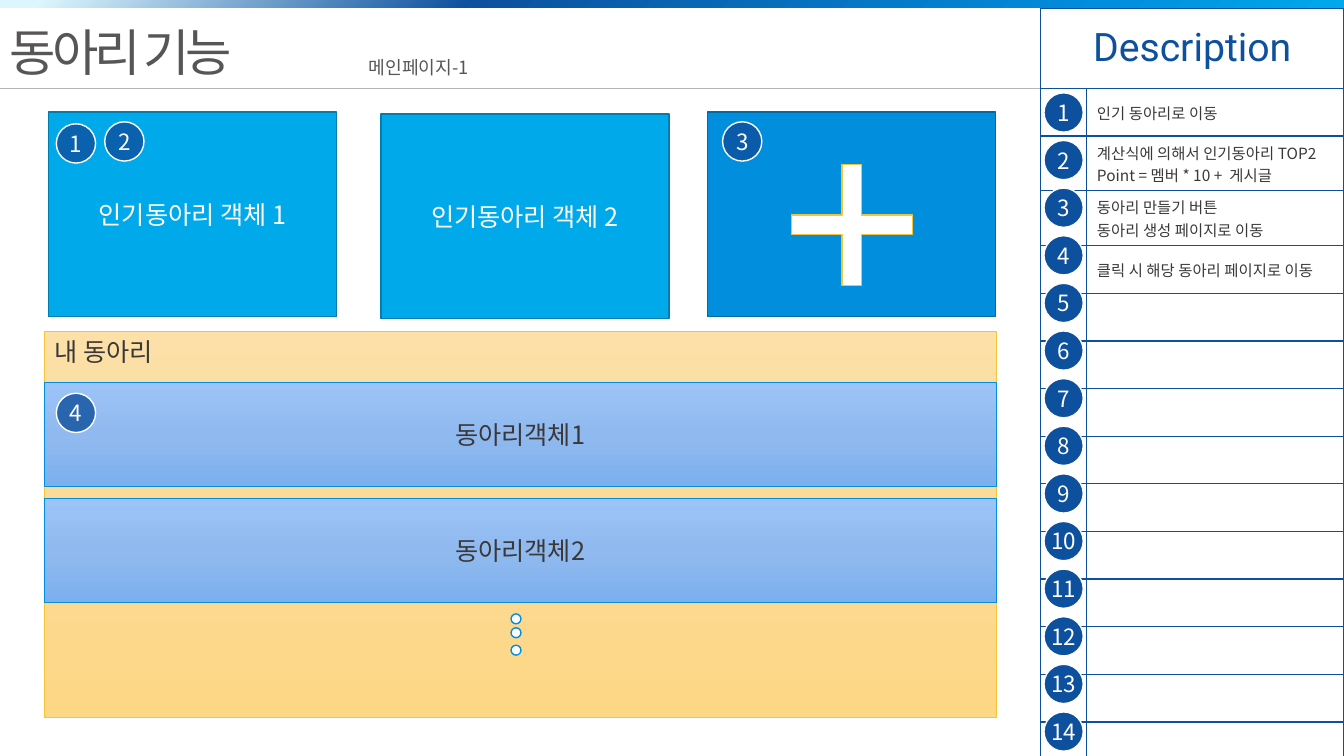
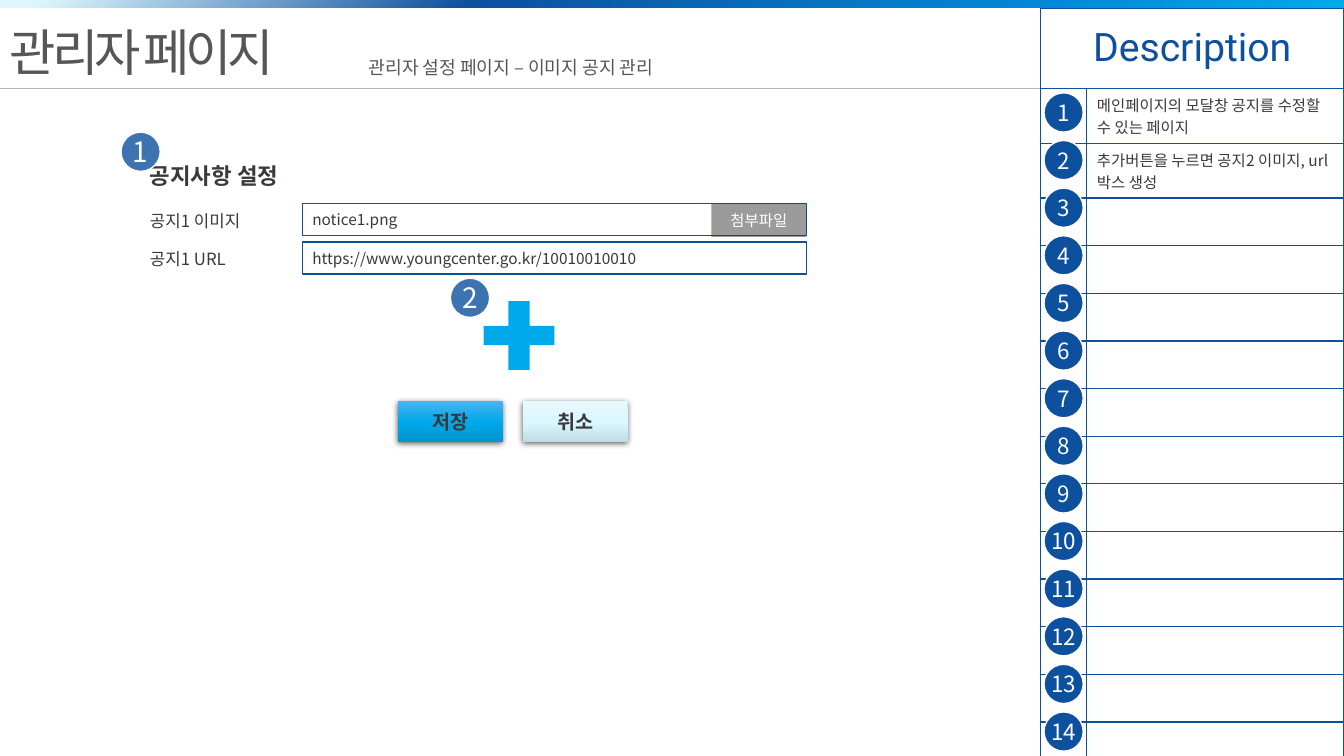
from dataclasses import dataclass

from pptx import Presentation
from pptx.dml.color import RGBColor
from pptx.enum.shapes import MSO_CONNECTOR, MSO_SHAPE
from pptx.enum.text import MSO_ANCHOR, MSO_AUTO_SIZE, PP_ALIGN
from pptx.oxml.ns import qn
from pptx.util import Cm, Pt
from lxml import etree

RECT, OVAL, PLUS = MSO_SHAPE.RECTANGLE, MSO_SHAPE.OVAL, MSO_SHAPE.CROSS
LEFT, CENTER = PP_ALIGN.LEFT, PP_ALIGN.CENTER
TOP, MIDDLE = MSO_ANCHOR.TOP, MSO_ANCHOR.MIDDLE
STRAIGHT = MSO_CONNECTOR.STRAIGHT


@dataclass(frozen=True)
class Theme:
    # Fonts
    body: str = "Noto Sans CJK KR"
    display: str = "Roboto"
    # Colours
    navy: str = "0D509E"
    blue: str = "018EDD"
    blue_edge: str = "0169A3"
    sky: str = "00A9EA"
    sky_edge: str = "007DAD"
    amber: str = "F5C437"
    ink: str = "3A3838"
    heading: str = "585555"
    rule: str = "B5B5B5"
    white: str = "FFFFFF"
    black: str = "000000"
    # Gradients: (position in percent, colour)
    band: tuple = ((3, "DDF6FD"), (35, "0D509E"), (82, "018EDD"), (100, "00A9EA"))
    panel: tuple = ((0, "FCE0A7"), (50, "FADA98"), (100, "FED784"))
    row: tuple = ((0, "9DC4F8"), (50, "90BAEF"), (100, "7CB0ED"))
    save: tuple = ((0, "4BB3F0"), (50, "00A9EA"), (100, "0096D0"))
    cancel: tuple = ((0, "E7F9FE"), (50, "DBF7FF"), (100, "C0DDE5"))
    # Type sizes
    title: int = 36
    side_title: int = 28
    large_badge: int = 20
    object_name: int = 18
    section: int = 16
    badge: int = 16
    button: int = 14
    subtitle: int = 13
    label: int = 12
    note: int = 11


T = Theme()

# Shared layout, in centimetres
SLIDE_W, SLIDE_H = 33.87, 19.05
BAND_H, HEAD_H = 0.2, 2.03
SIDE_X, NUMBER_W, NOTE_W = 26.22, 1.17, 6.48
NOTE_ROWS, NOTE_H = 14, 1.2
BADGE = 0.99


def rgb(color):
    return RGBColor.from_string(color)


def sub(parent, tag, **attrs):
    return etree.SubElement(parent, qn(tag), {k: str(v) for k, v in attrs.items()})


def write(tf, text, *, size, color=T.ink, font=T.body, bold=False, align=LEFT,
          anchor=TOP, spacing=None):
    """Fill a text frame, one paragraph per line of text."""
    tf.vertical_anchor = anchor
    for i, line in enumerate(text.split("\n")):
        p = tf.add_paragraph() if i else tf.paragraphs[0]
        p.alignment = align
        r = p.add_run()
        r.text = line
        r.font.size, r.font.bold = Pt(size), bold
        r.font.color.rgb = rgb(color)
        r.font.name = font
        rpr = r.font._element
        sub(rpr, "a:ea", typeface=font)
        if spacing:
            rpr.set("spc", str(spacing * 100))


def set_gradient(sp, stops, angle):
    sp.fill.gradient()
    grad = sp._element.spPr.find(qn("a:gradFill"))
    grad.clear()
    gs_list = sub(grad, "a:gsLst")
    for pos, color in stops:
        sub(sub(gs_list, "a:gs", pos=pos * 1000), "a:srgbClr", val=color)
    sub(grad, "a:lin", ang=angle * 60000, scaled=0)


def add_box(s, kind, x, y, w, h, fill, *, line=None, weight=1, alpha=None,
            angle=90, shadow=False, inset=None, text=None, **fmt):
    """Preset shape; fill is a colour or a tuple of gradient stops."""
    sp = s.shapes.add_shape(kind, Cm(x), Cm(y), Cm(w), Cm(h))
    if isinstance(fill, str):
        sp.fill.solid()
        sp.fill.fore_color.rgb = rgb(fill)
        if alpha:
            color = sp._element.spPr.find(qn("a:solidFill"))[0]
            sub(color, "a:alpha", val=alpha * 1000)
    else:
        set_gradient(sp, fill, angle)
    if line:
        sp.line.color.rgb = rgb(line)
        sp.line.width = Pt(weight)
    else:
        sp.line.fill.background()
    sp.shadow.inherit = False
    if shadow:
        effects = sp._element.spPr.find(qn("a:effectLst"))
        outer = sub(effects, "a:outerShdw", blurRad=Pt(4.5), dist=Pt(1.5),
                    dir=90 * 60000, algn="ctr", rotWithShape=0)
        sub(sub(outer, "a:srgbClr", val=T.black), "a:alpha", val=63000)
    if text:
        tf = sp.text_frame
        tf.word_wrap = True
        if inset is not None:
            tf.margin_left = tf.margin_right = Cm(inset)
            tf.margin_top = tf.margin_bottom = Cm(inset)
        write(tf, text, **{"align": CENTER, "anchor": MIDDLE, **fmt})
    return sp


def add_text(s, x, y, w, h, text, *, wrap=True, **fmt):
    tf = s.shapes.add_textbox(Cm(x), Cm(y), Cm(w), Cm(h)).text_frame
    tf.word_wrap = wrap
    tf.auto_size = MSO_AUTO_SIZE.SHAPE_TO_FIT_TEXT
    write(tf, text, **fmt)


def add_badge(s, number, x, y, *, size=T.badge, alpha=80):
    add_box(s, OVAL, x, y, BADGE, BADGE, T.navy, line=T.white, alpha=alpha,
            inset=0, text=str(number), size=size, color=T.white)


def add_plus(s, x, y, w, h, fill, arm, **fmt):
    add_box(s, PLUS, x, y, w, h, fill, **fmt).adjustments[0] = arm


def style_cell(cell):
    """Clear the fill and draw all four borders."""
    cell.fill.background()
    tc_pr = cell._tc.get_or_add_tcPr()
    for i, side in enumerate(("a:lnL", "a:lnR", "a:lnT", "a:lnB")):
        ln = sub(tc_pr, side, w=Pt(1))
        sub(sub(ln, "a:solidFill"), "a:srgbClr", val=T.navy)
        tc_pr.insert(i, ln)


def add_description(s, notes):
    """Side table with a numbered badge on each row."""
    frame = s.shapes.add_table(NOTE_ROWS + 1, 2, Cm(SIDE_X), Cm(BAND_H),
                               Cm(NUMBER_W + NOTE_W),
                               Cm(HEAD_H + NOTE_ROWS * NOTE_H))
    table = frame.table
    table.first_row = table.horz_banding = False
    for col, width in zip(table.columns, (NUMBER_W, NOTE_W)):
        col.width = Cm(width)
    for i, row in enumerate(table.rows):
        row.height = Cm(NOTE_H if i else HEAD_H)
        for cell in row.cells:
            style_cell(cell)
    head = table.cell(0, 0)
    head.merge(table.cell(0, 1))
    write(head.text_frame, "Description", size=T.side_title, color=T.navy,
          font=T.display, align=CENTER)
    head.vertical_anchor = MIDDLE
    for i, note in enumerate(notes, 1):
        cell = table.cell(i, 1)
        write(cell.text_frame, note, size=T.note)
        cell.vertical_anchor = MIDDLE
    for i in range(NOTE_ROWS):
        add_badge(s, i + 1, 26.31, 2.34 + i * NOTE_H, alpha=None)


def add_page(prs, title, title_w, subtitle, subtitle_w, notes):
    """Blank slide with the shared band, header and side table."""
    s = prs.slides.add_slide(prs.slide_layouts[6])
    add_description(s, notes)
    rule_y = Cm(BAND_H + HEAD_H)
    rule = s.shapes.add_connector(STRAIGHT, 0, rule_y, Cm(SIDE_X), rule_y)
    rule.line.color.rgb = rgb(T.rule)
    rule.line.width = Pt(1)
    sub(rule._element.spPr, "a:effectLst")
    add_text(s, 0, 0.41, title_w, 1.8, title, wrap=False, size=T.title,
             color=T.heading, spacing=-3)
    add_text(s, 9.04, 1.3, subtitle_w, 0.81, subtitle, wrap=False,
             size=T.subtitle, color=T.heading)
    add_box(s, RECT, 0, 0, SLIDE_W, BAND_H, T.band, angle=45)
    return s


def build_club_page(prs):
    s = add_page(prs, "동아리 기능", 6.73, "메인페이지-1", 3.2, (
        "인기 동아리로 이동",
        "계산식에 의해서 인기동아리 TOP2\nPoint = 멤버 * 10 +  게시글",
        "동아리 만들기 버튼\n동아리 생성 페이지로 이동",
        "클릭 시 해당 동아리 페이지로 이동",
    ))
    # Popular clubs and the create button
    card_w, card_h = 7.26, 5.16
    for i, (x, y) in enumerate(((1.22, 2.82), (9.6, 2.87)), 1):
        add_box(s, RECT, x, y, card_w, card_h, T.sky, line=T.sky_edge,
                text=f"인기동아리 객체 {i}", size=T.object_name, color=T.white)
    add_box(s, RECT, 17.83, 2.82, card_w, card_h, T.blue, line=T.blue_edge)
    add_plus(s, 19.94, 4.14, 3.05, 3.05, T.white, 0.42, line=T.amber)

    # My clubs
    list_x, list_w = 1.12, 23.98
    add_box(s, RECT, list_x, 8.36, list_w, 9.73, T.panel, line=T.amber,
            weight=0.5, text="내 동아리", size=T.object_name, align=LEFT,
            anchor=TOP)
    for i in range(2):
        add_box(s, RECT, list_x, 9.63 + i * 2.93, list_w, 2.62, T.row,
                line=T.blue, weight=0.5, text=f"동아리객체{i + 1}",
                size=T.object_name)
    for y in (15.47, 15.82, 16.26):
        add_box(s, OVAL, 12.88, y, 0.25, 0.25, T.white, line=T.blue)

    # Callouts
    spots = ((1.42, 3.12), (2.64, 3.07), (18.21, 3.07), (1.42, 9.91))
    for number, (x, y) in enumerate(spots, 1):
        add_badge(s, number, x, y)


def build_admin_page(prs):
    s = add_page(prs, "관리자 페이지", 7.9,
                 "관리자 설정 페이지 – 이미지 공지 관리", 8.33, (
                     "메인페이지의 모달창 공지를 수정할 수 있는 페이지",
                     "추가버튼을 누르면 공지2 이미지, url 박스 생성",
                 ))
    # Notice form
    add_text(s, 3.53, 3.96, 8.13, 0.94, "공지사항 설정", size=T.section, bold=True)
    fields = (("공지1 이미지", "notice1.png"),
              ("공지1 URL", "https://www.youngcenter.go.kr/10010010010"))
    for i, (label, value) in enumerate(fields):
        y = 5.13 + i * 0.97
        add_text(s, 3.53, y + 0.05, 3.71, 0.76, label, size=T.label)
        add_box(s, RECT, 7.62, y, 12.7, 0.81, T.white, line=T.navy,
                text=value, size=T.note, align=LEFT)
    add_box(s, RECT, 17.93, 5.13, 2.39, 0.84, T.ink, alpha=50,
            text="첨부파일", size=T.note, color=T.white)
    add_plus(s, 12.19, 7.59, 1.78, 1.73, T.sky, 0.36)

    # Buttons
    for x, fill, text in ((10.03, T.save, "저장"), (13.18, T.cancel, "취소")):
        add_box(s, RECT, x, 10.11, 2.64, 1.02, fill, shadow=True,
                text=text, size=T.button, bold=True)

    # Callouts
    for number, (x, y) in enumerate(((3.05, 3.33), (11.35, 7.01)), 1):
        add_badge(s, number, x, y, size=T.large_badge)


def main():
    prs = Presentation()
    prs.slide_width, prs.slide_height = Cm(SLIDE_W), Cm(SLIDE_H)
    build_club_page(prs)
    build_admin_page(prs)
    prs.save("out.pptx")


if __name__ == "__main__":
    main()
